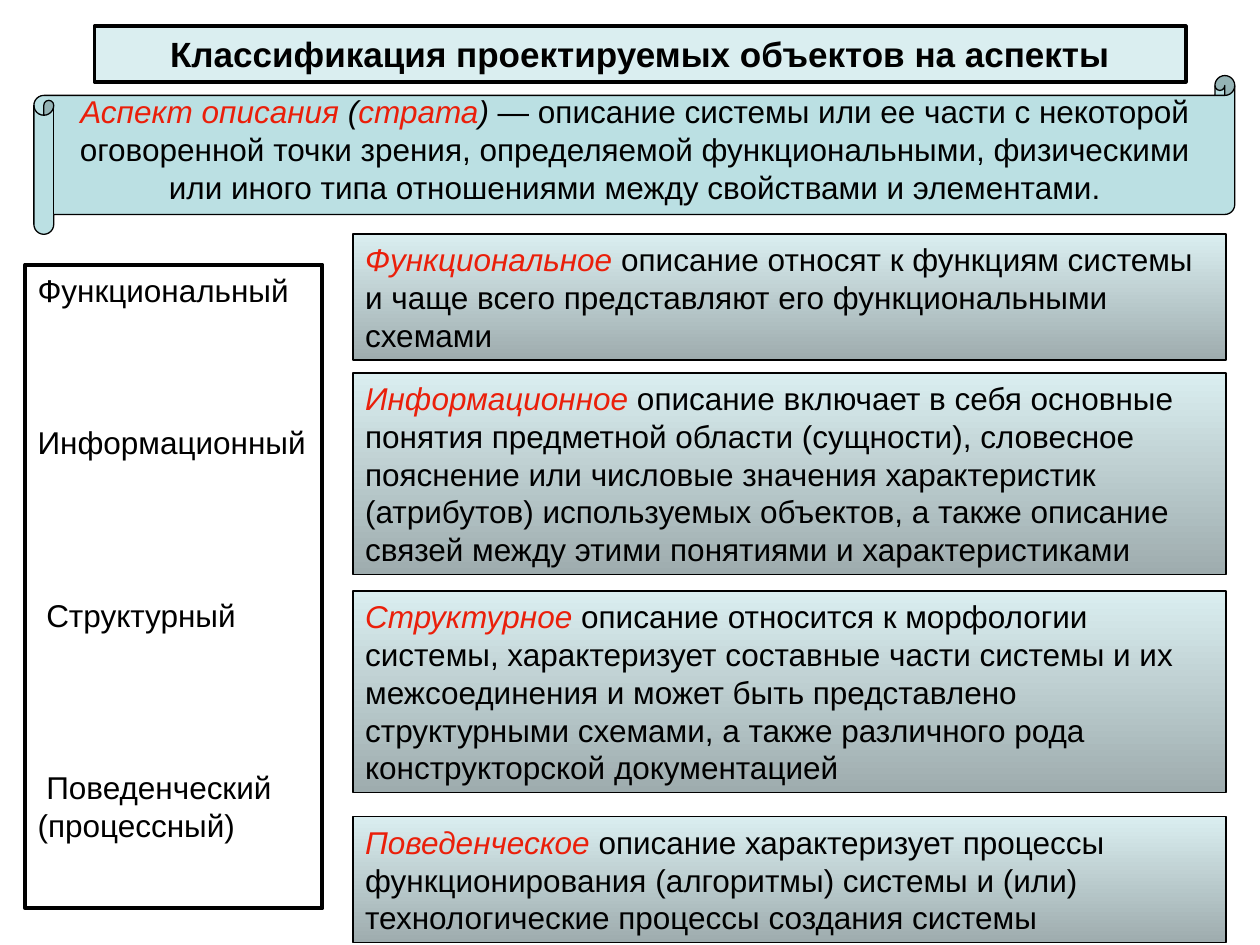
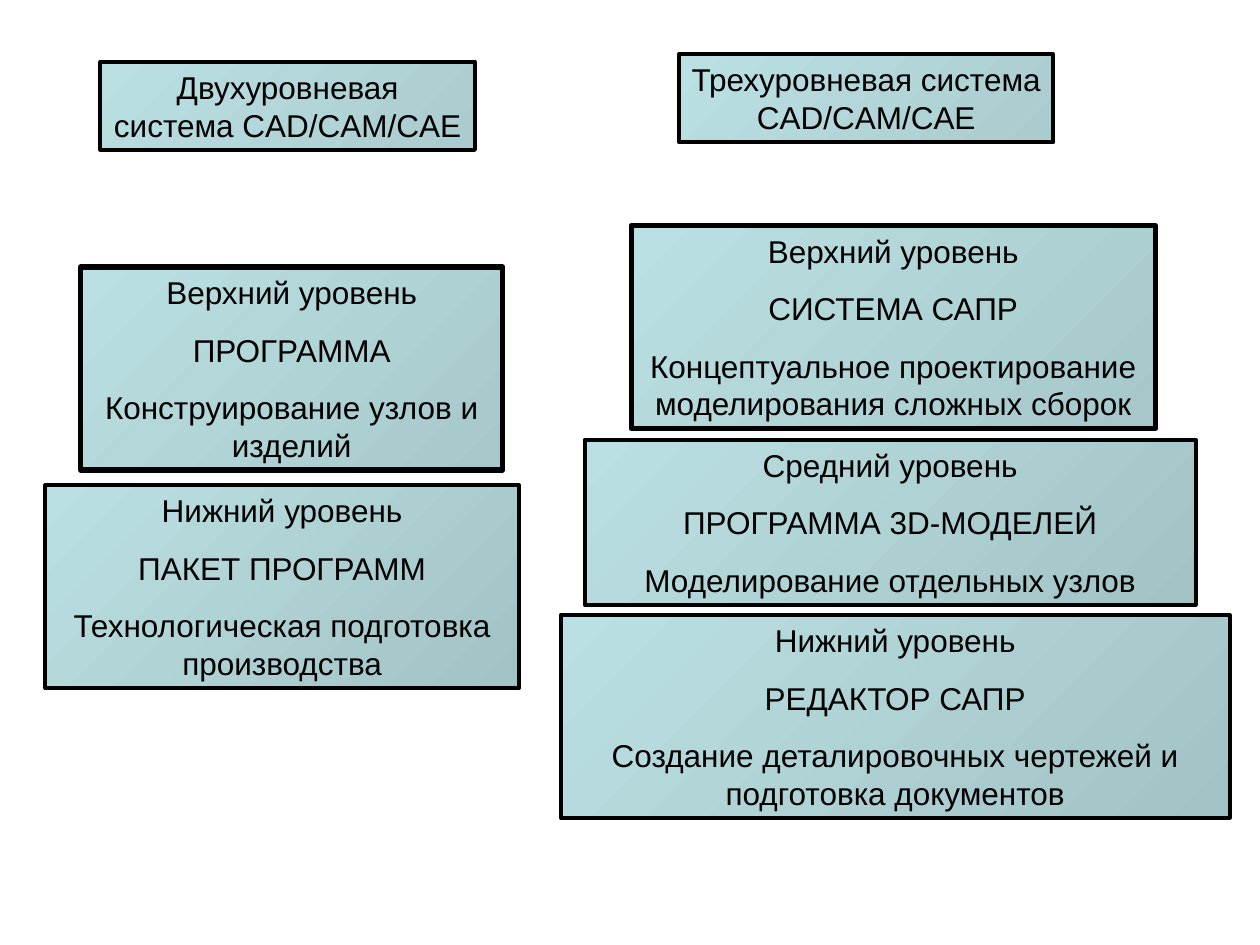
"""Build two slides on the aspects of designed objects and on CAD/CAM/CAE system levels."""
from dataclasses import dataclass

from pptx import Presentation
from pptx.dml.color import RGBColor
from pptx.enum.shapes import MSO_SHAPE
from pptx.enum.text import MSO_ANCHOR, MSO_AUTO_SIZE, PP_ALIGN
from pptx.util import Pt

RECTANGLE = MSO_SHAPE.RECTANGLE
SCROLL = MSO_SHAPE.HORIZONTAL_SCROLL
TOP = MSO_ANCHOR.TOP
FIXED = MSO_AUTO_SIZE.NONE
LEFT, CENTER = PP_ALIGN.LEFT, PP_ALIGN.CENTER
TITLE_ONLY, BLANK = 5, 6
DOWN, DIAGONAL = 270, 315


@dataclass(frozen=True)
class Theme:
    """Colours, type sizes and spacing shared by the slides."""
    font: str = "Arial"
    title_size: float = 20
    body_size: float = 18
    leading: float = 1.2
    paragraph_gap: float = 11.2
    padding: float = 7.2
    ink: str = "000000"
    accent: str = "EA1F0A"
    teal: str = "BBE0E3"
    pale: str = "DAEEF0"
    grey: str = "9EACAE"
    heading_shade: str = "AACCCF"
    top_shade: str = "A7C8CB"
    level_shade: str = "A2C3C5"


THEME = Theme()
LINE_HEIGHT = THEME.body_size * THEME.leading


def text_height(lines, paragraphs=1):
    """Return the height of a box that holds the given lines and paragraphs."""
    gaps = (paragraphs - 1) * THEME.paragraph_gap
    return lines * LINE_HEIGHT + gaps + THEME.padding


def add_run(paragraph, text, size=THEME.body_size, color=THEME.ink, bold=False, italic=False):
    """Append formatted text to a paragraph."""
    run = paragraph.add_run()
    run.text = text
    font = run.font
    font.name, font.size, font.bold, font.italic = THEME.font, Pt(size), bold, italic
    font.color.rgb = RGBColor.from_string(color)


def write_paragraphs(shape, paragraphs, align=LEFT, gaps=None, indents=None, size=THEME.body_size):
    """Fill a shape with paragraphs, each a list of (text, format) runs."""
    frame = shape.text_frame
    frame.word_wrap = True
    frame.auto_size = FIXED
    frame.vertical_anchor = TOP
    frame.margin_left = frame.margin_right = Pt(THEME.padding)
    frame.margin_top = frame.margin_bottom = Pt(THEME.padding / 2)
    for index, runs in enumerate(paragraphs):
        paragraph = frame.add_paragraph() if index else frame.paragraphs[0]
        paragraph.alignment = align
        paragraph.line_spacing = Pt(size * THEME.leading)
        if index:
            paragraph.space_before = Pt(gaps[index] if gaps else THEME.paragraph_gap)
        if indents:
            paragraph._p.get_or_add_pPr().set("indent", str(Pt(indents[index])))
        for text, style in runs:
            add_run(paragraph, text, size=size, **style)


def style_box(shape, fill=None, line_width=2.25):
    """Give a shape its outline and a plain, gradient or absent fill."""
    shape.line.color.rgb = RGBColor.from_string(THEME.ink)
    shape.line.width = Pt(line_width)
    if fill is None:
        shape.fill.background()
    elif isinstance(fill, str):
        shape.fill.solid()
        shape.fill.fore_color.rgb = RGBColor.from_string(fill)
    else:
        *colors, angle = fill
        shape.fill.gradient()
        shape.fill.gradient_angle = angle
        for stop, color in zip(shape.fill.gradient_stops, colors):
            stop.color.rgb = RGBColor.from_string(color)


def add_box(slide, bounds, kind=RECTANGLE, **look):
    """Add an outlined shape without a shadow."""
    box = slide.shapes.add_shape(kind, *map(Pt, bounds))
    box.shadow.inherit = False
    style_box(box, **look)
    return box


def set_title(slide, text, bounds):
    """Place and format the slide's title placeholder."""
    title = slide.shapes.title
    title.left, title.top, title.width, title.height = map(Pt, bounds)
    style_box(title, fill=THEME.pale)
    write_paragraphs(title, [[(text, {"bold": True})]], align=CENTER, size=THEME.title_size)


def add_definition(slide):
    """Add the scroll with the definition of an aspect."""
    add_box(slide, (19.4, 43.2, 686.2, 90.7), kind=SCROLL, fill=THEME.teal, line_width=0.75)
    definition = slide.shapes.add_textbox(Pt(36.7), Pt(49), Pt(652.3), Pt(text_height(3)))
    term = {"color": THEME.accent, "italic": True}
    bracket = {"italic": True}
    write_paragraphs(definition, [[
        ("Аспект описания", term), (" (", bracket), ("страта", term), (") ", bracket),
        ("— описание системы или ее части с некоторой оговоренной точки зрения, "
         "определяемой функциональными, физическими или иного типа отношениями "
         "между свойствами и элементами.", {}),
    ]], align=CENTER)


def add_description(slide, top, lines, term, explanation):
    """Add a gradient box that explains one kind of description."""
    box = add_box(slide, (201.6, top, 499, text_height(lines)),
                  fill=(THEME.pale, THEME.grey, DOWN), line_width=1)
    write_paragraphs(box, [[(term + " ", {"color": THEME.accent, "italic": True}),
                            (explanation, {})]])


def add_level(slide, bounds, texts, shade, line_width=2.25):
    """Add a centred box for a system heading or one of its levels."""
    left, top, width, lines = bounds
    box = add_box(slide, (left, top, width, text_height(lines, len(texts))),
                  fill=(THEME.teal, shade, DIAGONAL), line_width=line_width)
    write_paragraphs(box, [[(text, {})] for text in texts], align=CENTER)


def build_aspects(deck):
    """Build the slide that classifies objects by aspect."""
    slide = deck.slides.add_slide(deck.slide_layouts[TITLE_ONLY])
    set_title(slide, "Классификация проектируемых объектов на аспекты", (54, 15.1, 623.5, 31.7))
    add_definition(slide)
    aspects = ("Функциональный", "Информационный", "Структурный", "Поведенческий (процессный)")
    aspect_list = add_box(slide, (14.4, 151.2, 169.9, 367.9))
    write_paragraphs(aspect_list, [[(aspect, {})] for aspect in aspects],
                     gaps=(0, 65.6, 76.8, 76.8), indents=(0, 0, 5, 5))
    descriptions = (
        (133.9, 3, "Функциональное",
         "описание относят к функциям системы и чаще всего представляют его "
         "функциональными схемами"),
        (213.1, 5, "Информационное",
         "описание включает в себя основные понятия предметной области (сущности), "
         "словесное пояснение или числовые значения характеристик (атрибутов) "
         "используемых объектов, а также описание связей между этими понятиями "
         "и характеристиками"),
        (337.7, 5, "Структурное",
         "описание относится к морфологии системы, характеризует составные части "
         "системы и их межсоединения и может быть представлено структурными схемами, "
         "а также различного рода конструкторской документацией"),
        (466.6, 3, "Поведенческое",
         "описание характеризует процессы функционирования (алгоритмы) системы "
         "и (или) технологические процессы создания системы"),
    )
    for description in descriptions:
        add_description(slide, *description)


def build_systems(deck):
    """Build the slide that compares two-level and three-level systems."""
    slide = deck.slides.add_slide(deck.slide_layouts[BLANK])
    headings = (
        ((57.4, 35.3, 214, 2), "Двухуровневая система CAD/CAM/CAE"),
        ((388, 31, 214, 2), "Трехуровневая система CAD/CAM/CAE"),
    )
    for bounds, heading in headings:
        add_level(slide, bounds, [heading], THEME.heading_shade)
    top_levels = (
        ((46.1, 152.6, 241.2, 4),
         ("Верхний уровень", "ПРОГРАММА", "Конструирование узлов и изделий")),
        ((360.7, 128.9, 299.5, 4),
         ("Верхний уровень", "СИСТЕМА САПР",
          "Концептуальное проектирование моделирования сложных сборок")),
    )
    for bounds, texts in top_levels:
        add_level(slide, bounds, texts, THEME.top_shade, line_width=3)
    lower_levels = (
        ((25.9, 277.2, 270.7, 4),
         ("Нижний уровень", "ПАКЕТ ПРОГРАММ", "Технологическая подготовка производства")),
        ((334.1, 251.3, 349.2, 3),
         ("Средний уровень", "ПРОГРАММА 3D-МОДЕЛЕЙ", "Моделирование отдельных узлов")),
        ((320.4, 351.4, 382.3, 4),
         ("Нижний уровень", "РЕДАКТОР САПР",
          "Создание деталировочных чертежей и подготовка документов")),
    )
    for bounds, texts in lower_levels:
        add_level(slide, bounds, texts, THEME.level_shade)


def main():
    """Create the deck and save it."""
    deck = Presentation()
    deck.slide_width, deck.slide_height = Pt(720), Pt(540)
    build_aspects(deck)
    build_systems(deck)
    deck.save("out.pptx")


if __name__ == "__main__":
    main()
